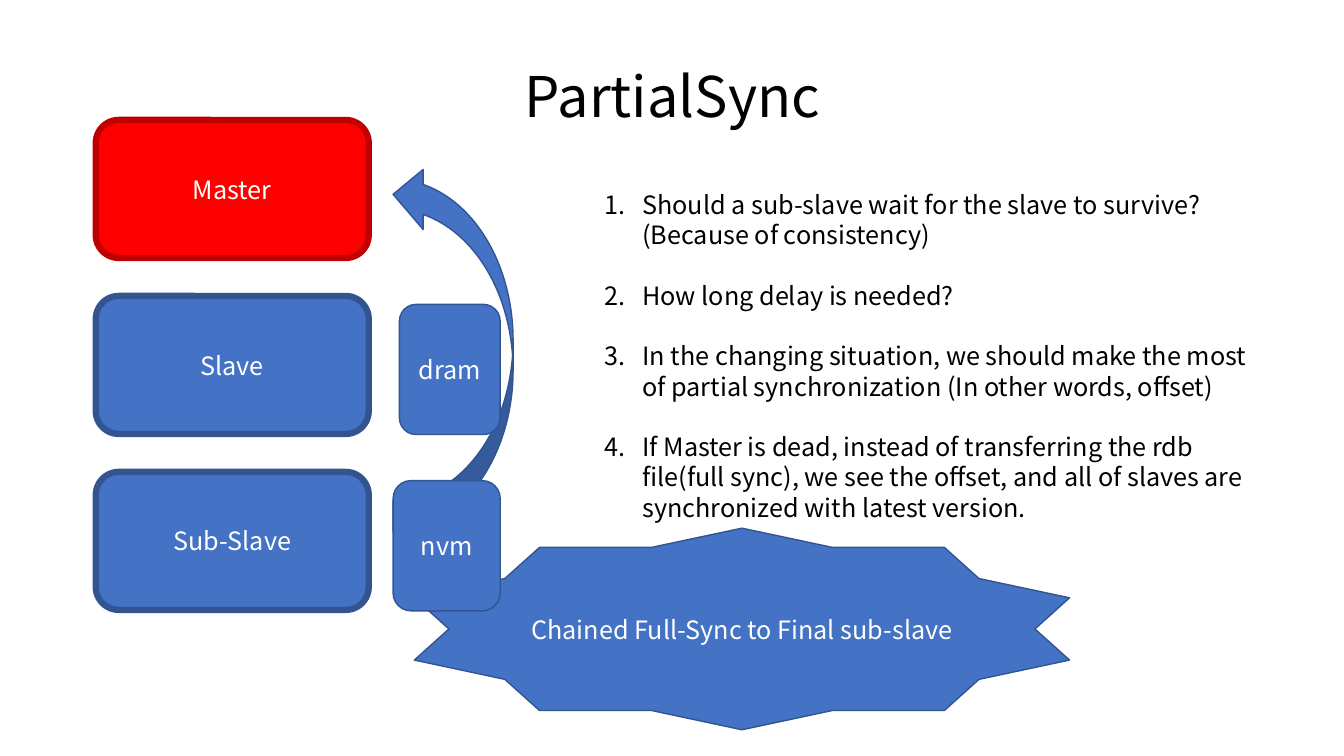
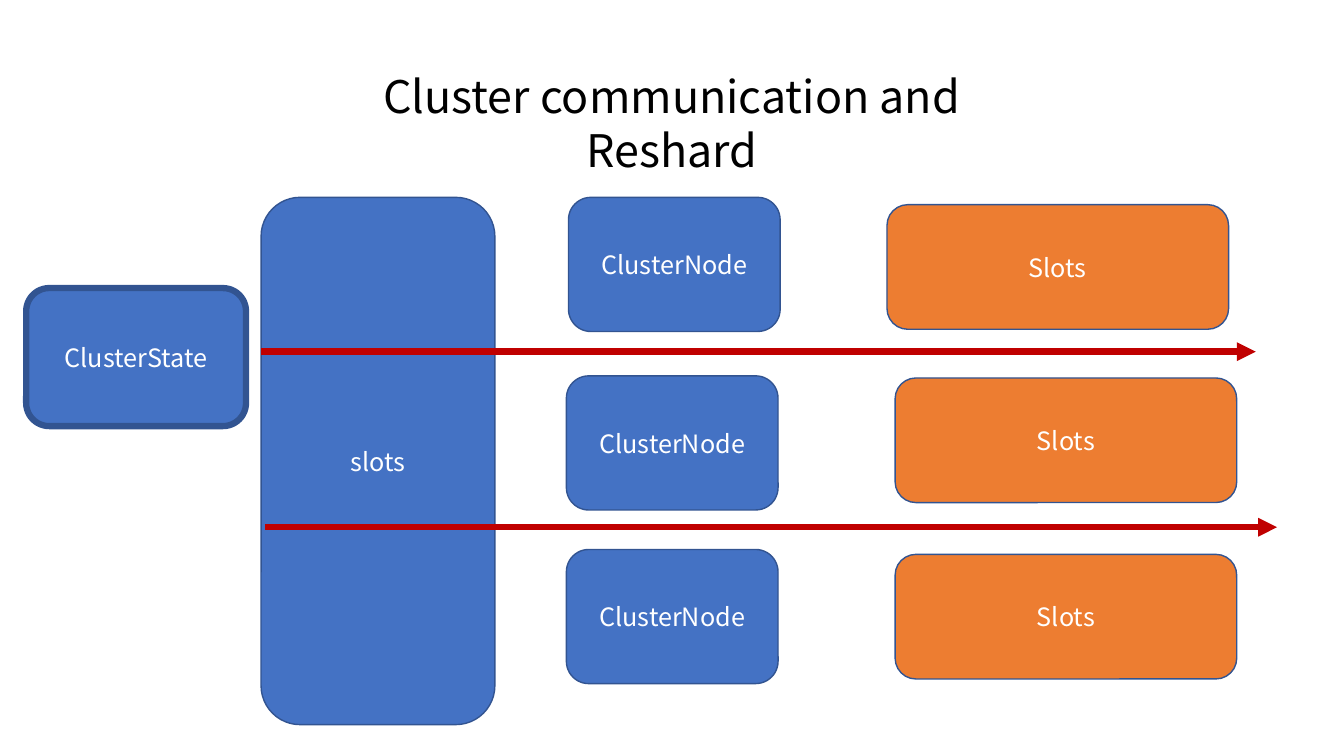
import pptx
import pptx.util
import pptx.dml.color
import pptx.enum.shapes
import pptx.enum.text
import pptx.oxml.ns
from lxml import etree

Pt = pptx.util.Pt
SHAPE = pptx.enum.shapes.MSO_SHAPE
ALIGN = pptx.enum.text.PP_ALIGN
ANCHOR = pptx.enum.text.MSO_ANCHOR
qn = pptx.oxml.ns.qn

FONT = "Noto Sans CJK KR"
BLUE, NAVY, RED, DARK = "4472C4", "325491", "FF0000", "C00000"
ORANGE, WHITE, BLACK = "ED7D31", "FFFFFF", "000000"
THIN, THICK = 1, 4.5
LEADING = 1.2


def color(code):
    return pptx.dml.color.RGBColor.from_string(code)


def style(para, size, code, align):
    para.font.name, para.font.size = FONT, Pt(size)
    para.font.color.rgb = color(code)
    para.alignment = align


def place(box):
    return [Pt(n) for n in box]


def shape(slide, kind, box, text="", fill=BLUE, edge=NAVY, width=THIN):
    item = slide.shapes.add_shape(kind, *place(box))
    item.shadow.inherit = False
    item.fill.solid()
    item.fill.fore_color.rgb = color(fill)
    item.line.color.rgb = color(edge)
    item.line.width = Pt(width)
    if text:
        frame = item.text_frame
        frame.word_wrap = True
        frame.vertical_anchor = ANCHOR.MIDDLE
        frame.text = text
        style(frame.paragraphs[0], 18, WHITE, ALIGN.CENTER)
    return item


def arrow(slide, left, right, y):
    line = slide.shapes.add_connector(
        pptx.enum.shapes.MSO_CONNECTOR.STRAIGHT, *place((left, y, right, y)))
    line.line.color.rgb = color(DARK)
    line.line.width = Pt(THICK)
    etree.SubElement(line.line._get_or_add_ln(), qn("a:tailEnd"), type="triangle")
    etree.SubElement(line._element.spPr, qn("a:effectLst"))


def titled(deck, text, box, size):
    slide = deck.slides.add_slide(deck.slide_layouts[5])
    title = slide.shapes.title
    title.left, title.top, title.width, title.height = place(box)
    frame = title.text_frame
    frame.text = text
    frame.word_wrap = True
    frame.auto_size = pptx.enum.text.MSO_AUTO_SIZE.NONE
    frame.vertical_anchor = ANCHOR.TOP
    para = frame.paragraphs[0]
    style(para, size, BLACK, ALIGN.CENTER)
    para.line_spacing = Pt(size * LEADING)
    return slide


def chain(slide, box):
    """Stack of servers, with the arrow from the last back to the first."""
    left, top, width, height = box
    high = 98.6
    step = (height - high) / 2
    servers = [("Slave", 1, BLUE, NAVY), ("Master", 0, RED, DARK),
               ("Sub-Slave", 2, BLUE, NAVY)]
    for name, row, fill, edge in servers:
        shape(slide, SHAPE.ROUNDED_RECTANGLE,
              (left, top + row * step, width, high), name, fill, edge, THICK)
    back = shape(slide, SHAPE.CURVED_RIGHT_ARROW,
                 (left + 212.4, top + 31.7, 85.7, 262))
    back.rotation = 180


def stores(slide, box):
    """Memory boxes, aligned on the right edge."""
    left, top, width, height = box
    high = 93
    for name, wide, y in [("dram", 72, top), ("nvm", width, top + height - high)]:
        shape(slide, SHAPE.ROUNDED_RECTANGLE,
              (left + width - wide, y, wide, high), name)


def issues(slide, box, lines):
    """Numbered list."""
    frame = slide.shapes.add_textbox(*place(box)).text_frame
    frame.word_wrap = True
    for i, text in enumerate(lines):
        para = frame.paragraphs[0] if i == 0 else frame.add_paragraph()
        para.text = text
        style(para, 18, BLACK, ALIGN.LEFT)
        para.line_spacing = Pt(18 * LEADING)
        if i:
            para.space_before = Pt(18 * LEADING)
        props = para._p.get_or_add_pPr()
        props.set("marL", str(Pt(27)))
        props.set("indent", str(-Pt(27)))
        # Bullets come before the default run properties
        mark = etree.Element(qn("a:buAutoNum"), type="arabicPeriod")
        props.find(qn("a:defRPr")).addprevious(mark)


def state(slide, box):
    """Cluster state beside its tall slot table."""
    left, top, width, height = box
    shape(slide, SHAPE.ROUNDED_RECTANGLE, (left, top + 64.8, 157, 98.6),
          "ClusterState", width=THICK)
    shape(slide, SHAPE.ROUNDED_RECTANGLE, (left + width - 167, top, 167, height),
          "slots")


def column(slide, box, text, fill, tops, shift):
    """Boxes at the given tops; the first is shifted sideways."""
    left, top, width, height = box
    for i, y in enumerate(tops):
        x = left if i else left + shift
        shape(slide, SHAPE.ROUNDED_RECTANGLE, (x, top + y, width, height),
              text, fill)


def main():
    deck = pptx.Presentation()
    deck.slide_width, deck.slide_height = Pt(960), Pt(540)

    # Partial synchronization
    slide = titled(deck, "PartialSync", (23.8, 40.3, 913, 55.4), 40)
    chain(slide, (68.4, 85.7, 195, 350))
    issues(slide, (424.8, 131.8, 477.4, 247), [
        "Should a sub-slave wait for the slave to survive? (Because of consistency)",
        "How long delay is needed?",
        "In the changing situation, we should make the most of partial "
        "synchronization (In other words, offset)",
        "If Master is dead, instead of transferring the rdb file(full sync), "
        "we see the offset, and all of slaves are synchronized with latest version.",
    ])
    shape(slide, SHAPE.STAR_10_POINT, (296, 377.3, 468, 144),
          "Chained Full-Sync to Final sub-slave")
    stores(slide, (280.8, 217.4, 76.5, 218.9))

    # Cluster and resharding
    slide = titled(deck, "Cluster communication and Reshard",
                   (205.9, 45.4, 548, 46), 32)
    state(slide, (18.7, 141, 334.8, 376.6))
    arrow(slide, 186.5, 897, 251.2)
    arrow(slide, 189.4, 912.2, 376.6)
    column(slide, (404.6, 141, 151.2, 95.8), "ClusterNode", BLUE,
           (0, 127.5, 251.5), 1.5)
    column(slide, (639.4, 146.2, 244, 89), "Slots", ORANGE,
           (0, 123.8, 249.8), -5.8)

    deck.save("out.pptx")


if __name__ == "__main__":
    main()
